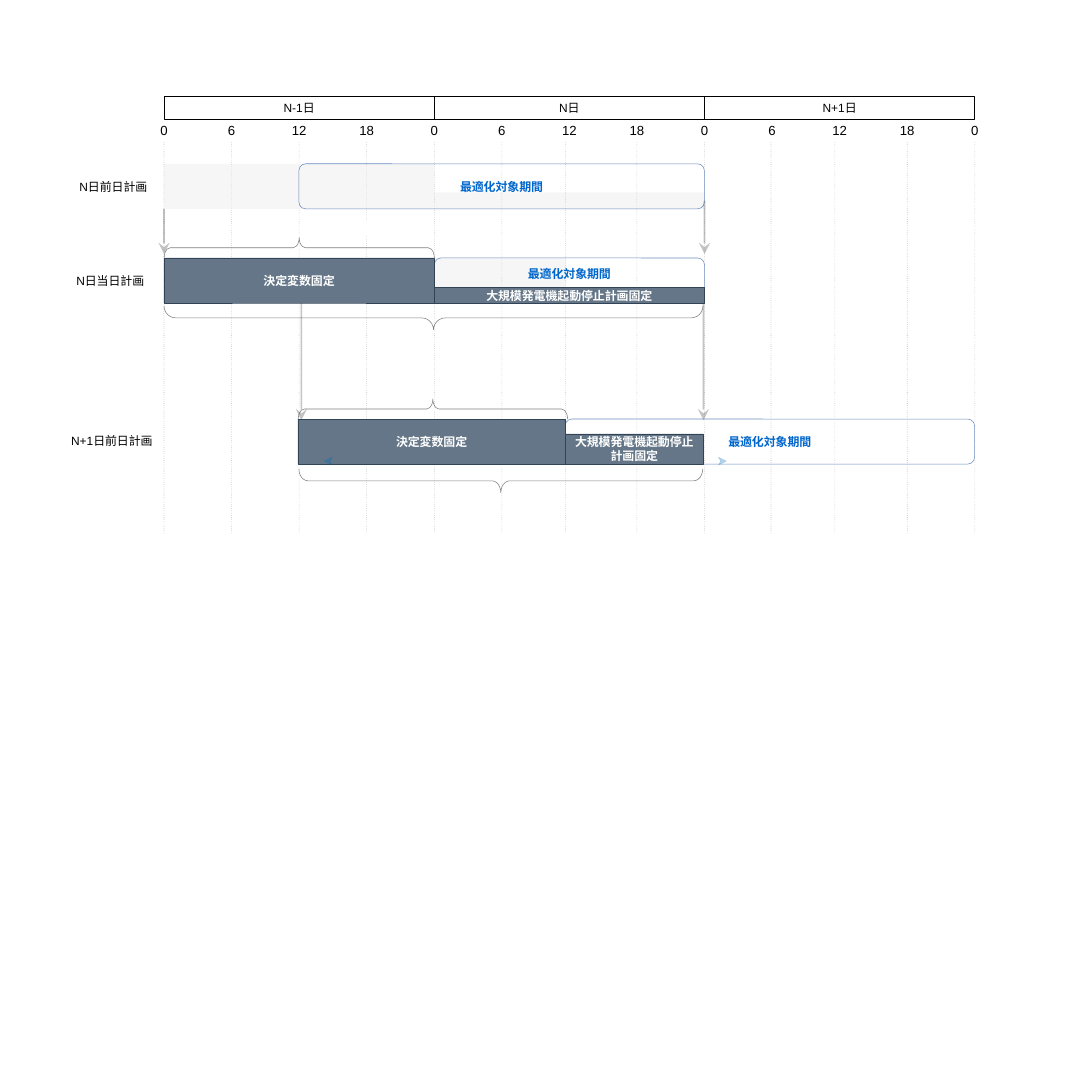
from dataclasses import dataclass

from pptx import Presentation
from pptx.dml.color import RGBColor
from pptx.enum.shapes import MSO_CONNECTOR, MSO_SHAPE
from pptx.enum.text import MSO_ANCHOR, PP_ALIGN
from pptx.oxml.ns import qn
from pptx.util import Pt
from lxml.etree import SubElement


@dataclass(frozen=True)
class Theme:
    latin: str = "Arial"
    japanese: str = "Noto Sans CJK JP"
    body: float = 10.5
    hour: float = 11.6
    thin: float = 0.48
    thick: float = 1.45
    black: str = "000000"
    white: str = "FFFFFF"
    past: str = "EEEEEE"
    fixed: str = "647687"
    fixed_edge: str = "314354"
    target: str = "0066CC"
    target_edge: str = "6C8EBF"
    arrow: str = "36393D"
    marker: str = "0070C0"
    marker_edge: str = "5B9BD5"


theme = Theme()


def paint(item, fill=None, line=None, width=theme.thin, alpha=100, dash=None, head=None):
    """Set fill and line, with one opacity in percent for both, and drop the shadow."""
    if hasattr(item, "fill"):
        if fill:
            item.fill.solid()
            item.fill.fore_color.rgb = RGBColor.from_string(fill)
        else:
            item.fill.background()
    if line:
        item.line.color.rgb = RGBColor.from_string(line)
        item.line.width = Pt(width)
    else:
        item.line.fill.background()
    properties = item.element.spPr
    outline = properties.find(qn("a:ln"))
    if alpha < 100:
        for color in properties.iter(qn("a:srgbClr")):
            SubElement(color, qn("a:alpha")).set("val", str(alpha * 1000))
    if dash:
        SubElement(outline, qn("a:prstDash")).set("val", dash)
    if head:
        SubElement(outline, qn("a:tailEnd"), type=head, w="lg", len="lg")
    if hasattr(item, "shadow"):
        item.shadow.inherit = False
    else:
        SubElement(properties, qn("a:effectLst"))


def add_text(shape, japanese="", latin="", size=theme.body, color=theme.black, bold=False,
             align=PP_ALIGN.CENTER, anchor=MSO_ANCHOR.MIDDLE, wrap=True, bottom=4.3):
    frame = shape.text_frame
    frame.word_wrap = wrap
    frame.vertical_anchor = anchor
    frame.margin_left = frame.margin_right = Pt(8.6)
    frame.margin_top, frame.margin_bottom = Pt(4.3), Pt(bottom)
    paragraph = frame.paragraphs[0]
    paragraph.alignment = align
    for words, face in ((latin, theme.latin), (japanese, theme.japanese)):
        if words:
            run = paragraph.add_run()
            run.text = words
            run.font.name, run.font.size, run.font.bold = face, Pt(size), bold
            run.font.color.rgb = RGBColor.from_string(color)
            SubElement(run.font._element, qn("a:ea")).set("typeface", face)


prs = Presentation()
prs.slide_width = prs.slide_height = Pt(960)
slide = prs.slides.add_slide(prs.slide_layouts[6])
shapes = slide.shapes

start, day, step = 144.2, 237.6, 59.4
day_n, day_next = start + day, start + 2 * day
row_height = 39.6
ahead_top, same_day_top, next_top = 144, 226.8, 368.4

# Shaded past and fixed periods
for left, top, width, height in ((day_n, 169.2, day, 14.4), (day_n, same_day_top, 116, 26.2)):
    shade = shapes.add_shape(MSO_SHAPE.RECTANGLE, Pt(left), Pt(top), Pt(width), Pt(height))
    paint(shade, fill=theme.past, alpha=50)

# Time axis
for i, day_name in enumerate(("N-1", "N", "N+1")):
    header = shapes.add_shape(MSO_SHAPE.RECTANGLE, Pt(start + i * day), Pt(85), Pt(day), Pt(19.5))
    paint(header, fill=theme.white, line=theme.black)
    add_text(header, "日", latin=day_name)

guide_shift = {6: -3.6, 9: -1, 10: -4.3}
for i in range(13):
    x = start + i * step
    hour = shapes.add_textbox(Pt(x - 20), Pt(103.2), Pt(40), Pt(22.3))
    add_text(hour, latin=str(i % 4 * 6), size=theme.hour, anchor=MSO_ANCHOR.TOP, wrap=False)
    x += guide_shift.get(i, 0)
    guide = shapes.add_connector(MSO_CONNECTOR.STRAIGHT, Pt(x), Pt(468.7), Pt(x), Pt(124.5))
    paint(guide, line=theme.black, alpha=30, dash="dot")

guide_gap = shapes.add_shape(MSO_SHAPE.RECTANGLE, Pt(300.5), Pt(193.7), Pt(45.5), Pt(13.7))
paint(guide_gap, fill=theme.white)
past = shapes.add_shape(MSO_SHAPE.RECTANGLE, Pt(start), Pt(ahead_top), Pt(day), Pt(row_height))
paint(past, fill=theme.past, alpha=50)

# Plan names
for left, top, width, latin, plan in (
    (61.2, 153.4, 77.8, "N", "日前日計画"),
    (58.5, 236.2, 77.8, "N", "日当日計画"),
    (54, 377.3, 89.3, "N+1", "日前日計画"),
):
    name = shapes.add_textbox(Pt(left), Pt(top), Pt(width), Pt(20.9))
    add_text(name, plan, latin=latin, align=PP_ALIGN.JUSTIFY, anchor=MSO_ANCHOR.TOP)

# Optimisation periods
for left, top, width, bottom in (
    (262.8, ahead_top, 356.4, 4.3),
    (day_n, same_day_top, day, 16.5),
    (496.8, next_top, 360, 4.3),
):
    target = shapes.add_shape(MSO_SHAPE.ROUNDED_RECTANGLE, Pt(left), Pt(top), Pt(width), Pt(row_height))
    target.adjustments[0] = 0.15
    paint(target, line=theme.target_edge)
    add_text(target, "最適化対象期間", color=theme.target, bold=True, bottom=bottom)

# Fixed periods
for left, top, width, height, label in (
    (start, same_day_top, day, row_height, "決定変数固定"),
    (262, next_top, 235, row_height, "決定変数固定"),
    (day_n, 252.7, day, 14.2, "大規模発電機起動停止計画固定"),
    (496.8, 381.4, 121.8, 26.4, "大規模発電機起動停止計画固定"),
):
    fixed = shapes.add_shape(MSO_SHAPE.RECTANGLE, Pt(left), Pt(top), Pt(width), Pt(height))
    paint(fixed, fill=theme.fixed, line=theme.fixed_edge)
    add_text(fixed, label, color=theme.white, bold=True)

# Braces: left, top, span, depth, rotation, curve
for left, top, span, depth, rotation, curve in (
    (start, 208.8, 237.6, 18, 90, 0.3),
    (262, 350.6, 237, 18, 90, 0.3),
    (262.8, 412.2, 355, 20.9, 270, 0.38),
    (start, 269, 473.8, 20.9, 270, 0.5),
):
    brace = shapes.add_shape(
        MSO_SHAPE.LEFT_BRACE, Pt(left + (span - depth) / 2), Pt(top + (depth - span) / 2),
        Pt(depth), Pt(span))
    brace.rotation = rotation
    brace.adjustments[0] = curve
    paint(brace, line=theme.black, alpha=50)

# Hand-over arrows
for x, top, bottom in (
    (start, 183.6, 223.2), (day_next, 176.4, 223.2), (618.5, 266.4, 369.4), (265, 266.4, 369.4),
):
    arrow = shapes.add_connector(MSO_CONNECTOR.STRAIGHT, Pt(x), Pt(top), Pt(x), Pt(bottom))
    paint(arrow, line=theme.arrow, width=theme.thick, alpha=30, head="stealth")

# Ends of the period carried over
for tip, direction, edge in ((285, 1, theme.marker), (638.6, -1, theme.marker_edge)):
    back, notch = tip + 7 * direction, tip + 5 * direction
    outline = shapes.build_freeform(Pt(tip), Pt(405.4))
    outline.add_line_segments(
        [(Pt(back), Pt(401.9)), (Pt(notch), Pt(405.4)), (Pt(back), Pt(408.9))], close=True)
    paint(outline.convert_to_shape(), fill=theme.marker, line=edge, alpha=30)

prs.save("out.pptx")
